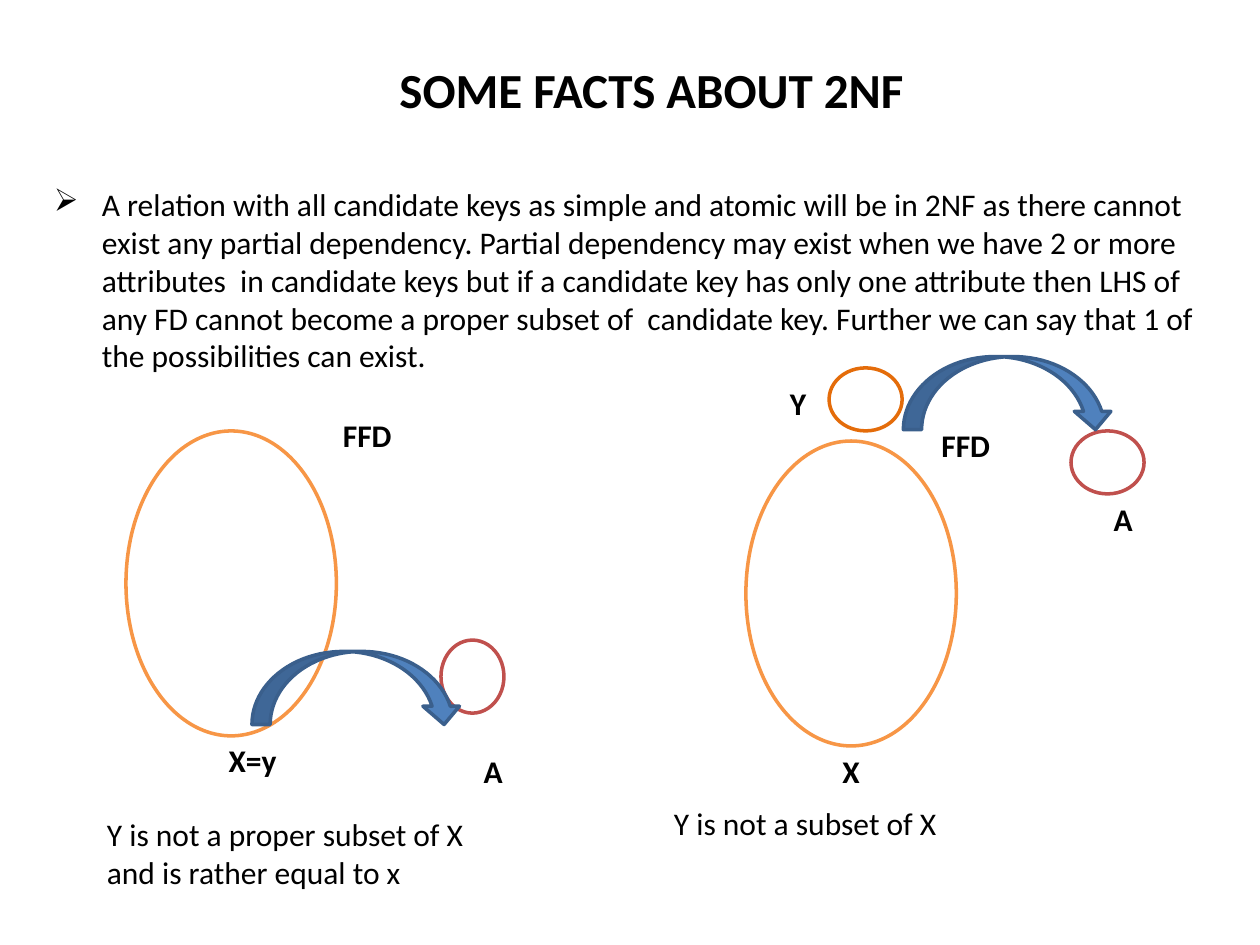
from lxml import etree
from pptx import Presentation
from pptx.dml.color import RGBColor
from pptx.enum import shapes, text
from pptx.oxml.ns import qn
from pptx.util import Inches, Pt

ORANGE, DARK_ORANGE, RED = "F79646", "E46C0A", "C0504D"
FACT = (
    "A relation with all candidate keys as simple and atomic will be in 2NF as there "
    "cannot exist any partial dependency. Partial dependency may exist when we have 2 or "
    "more attributes  in candidate keys but if a candidate key has only one attribute then "
    "LHS of any FD cannot become a proper subset of  candidate key. Further we can say that "
    "1 of the possibilities can exist."
)


def color(value):
    """Turn a hex string into a colour."""
    return RGBColor.from_string(value)


def add_text(parent, content, x, y, w, h=0.4, size=18, bold=False, center=False):
    """Add a wrapping text box and return its paragraph."""
    tf = parent.shapes.add_textbox(Inches(x), Inches(y), Inches(w), Inches(h)).text_frame
    tf.word_wrap = True
    tf.auto_size = text.MSO_AUTO_SIZE.SHAPE_TO_FIT_TEXT
    p = tf.paragraphs[0]
    p.alignment = text.PP_ALIGN.CENTER if center else text.PP_ALIGN.LEFT
    r = p.add_run()
    r.text = content
    r.font.name, r.font.size, r.font.bold = "Calibri", Pt(size), bold
    r.font.color.rgb = color("000000")
    return p


def add_label(parent, content, x, y):
    """Add a short bold centred label."""
    add_text(parent, content, x, y, 0.67, bold=True, center=True)


def add_bullet(p, char, indent):
    """Give a paragraph a bullet with a hanging indent."""
    pPr = p._p.get_or_add_pPr()
    pPr.set("marL", str(Inches(indent)))
    pPr.set("indent", str(-Inches(indent)))
    etree.SubElement(pPr, qn("a:buChar")).set("char", char)


def add_outlined(parent, kind, x, y, w, h, fill, line):
    """Add a filled preset shape with a 2 pt outline."""
    sp = parent.shapes.add_shape(kind, Inches(x), Inches(y), Inches(w), Inches(h))
    sp.shadow.inherit = False
    sp.fill.solid()
    sp.fill.fore_color.rgb = color(fill)
    sp.line.color.rgb = color(line)
    sp.line.width = Pt(2)


def add_oval(parent, x, y, w, h, line):
    """Add a white ellipse with a coloured outline."""
    add_outlined(parent, shapes.MSO_SHAPE.OVAL, x, y, w, h, "FFFFFF", line)


def add_arrow(parent, x, y):
    """Add a curved dependency arrow."""
    add_outlined(parent, shapes.MSO_SHAPE.CURVED_DOWN_ARROW, x, y, 1.67, 0.58, "4F81BD", "3A5F8C")


def add_equal_case(s):
    """Draw the case where Y equals X."""
    group = s.shapes.add_group_shape()
    add_oval(group, 1, 3.42, 1.67, 2.42, ORANGE)
    add_oval(group, 3.5, 5.08, 0.5, 0.58, RED)
    add_arrow(group, 2, 5.17)
    add_label(group, "X=y", 1.67, 5.83)
    add_label(group, "FFD", 2.58, 3.25)
    add_text(group, "Y is not a proper subset of X and is rather equal to x", 0.75, 6.42, 3.25, 0.71)


def add_outside_case(s):
    """Draw the case where Y lies outside X."""
    group = s.shapes.add_group_shape()
    add_oval(group, 5.92, 3.5, 1.67, 2.42, ORANGE)
    add_oval(group, 6.58, 2.92, 0.58, 0.5, DARK_ORANGE)
    add_oval(group, 8.5, 3.42, 0.58, 0.5, RED)
    add_arrow(group, 7.17, 2.83)
    for content, x, y in [("Y", 6, 3), ("X", 6.42, 5.92), ("A", 8.58, 3.92), ("FFD", 7.33, 3.33)]:
        add_label(group, content, x, y)
    add_text(group, "Y is not a subset of X", 5.25, 6.33, 3.25)


def main():
    """Build and save the slide."""
    prs = Presentation()
    prs.slide_width, prs.slide_height = Inches(10), Inches(7.5)
    s = prs.slides.add_slide(prs.slide_layouts[6])
    add_text(s, "SOME FACTS ABOUT 2NF", 0.67, 0.42, 9, 0.57, size=28, bold=True, center=True)
    add_bullet(add_text(s, FACT, 0.33, 1.42, 9.25, 1.62), "➢", 0.38)
    add_label(s, "A", 3.58, 5.92)
    add_equal_case(s)
    add_outside_case(s)
    prs.save("out.pptx")


if __name__ == "__main__":
    main()
